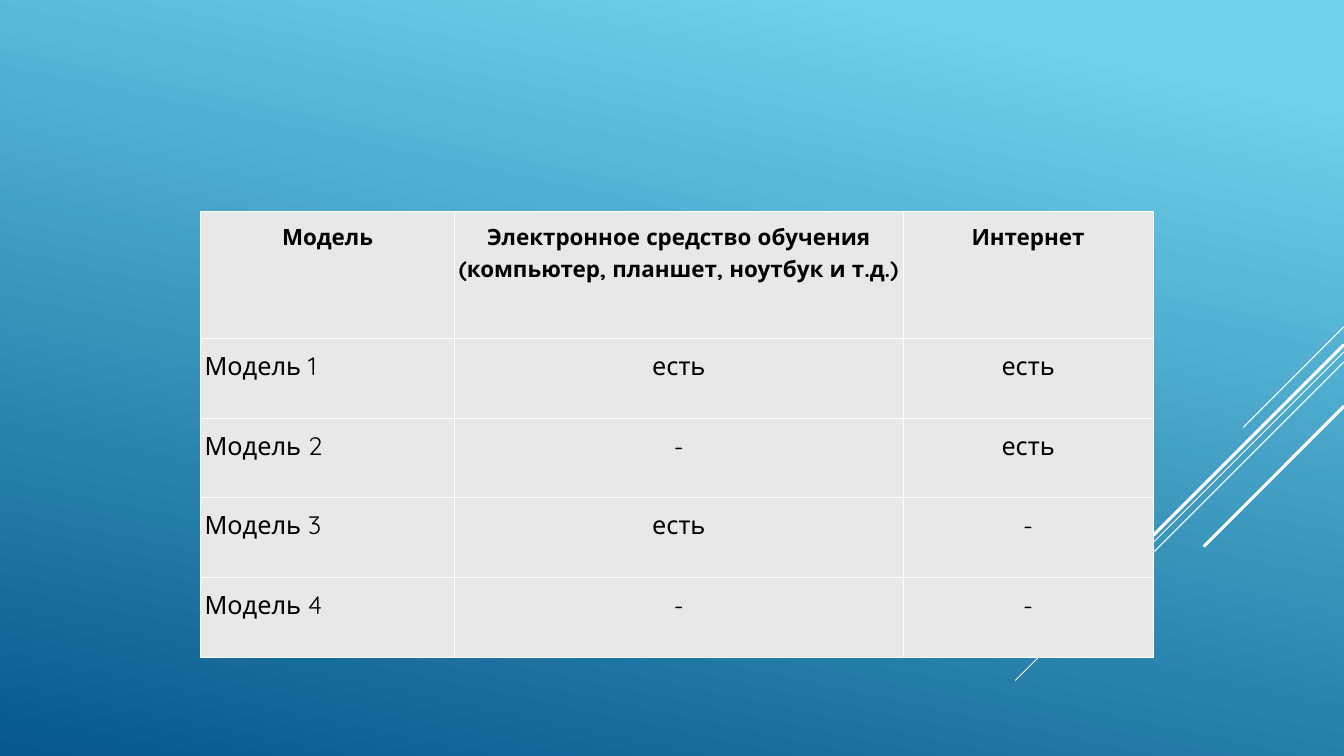
from dataclasses import dataclass

from lxml import etree
from pptx import Presentation
from pptx import util as u
from pptx.dml.color import RGBColor
from pptx.enum import shapes, text
from pptx.oxml import ns

COLS, ROWS = 160, 90
WIDE, HIGH = u.Inches(13.33), u.Inches(7.5)
WHITE, BLACK, GREY = "FFFFFF", "000000", "E7E8EA"
FONT = "Quicksand"


@dataclass(frozen=True)
class Ray:
    """A diagonal from the right edge down to the left, in grid units."""
    top: float
    run: float
    width: float


RAYS = [
    Ray(38.88, 12, 0.75),
    Ray(41.88, 39.12, 0.75),
    Ray(43.08, 24.9, 0.75),
    Ray(41.04, 22.9, 2.25),
    Ray(48.36, 16.7, 2.25),
]
SPANS = [30.24, 53.4, 29.76]
HEAD, LINE = 15.12, 9.48
MODELS = [
    ["Модель", "Электронное средство обучения (компьютер, планшет, ноутбук и т.д.)", "Интернет"],
    ["Модель 1", "есть", "есть"],
    ["Модель 2", "-", "есть"],
    ["Модель 3", "есть", "-"],
    ["Модель 4", "-", "-"],
]


def col(n: float) -> int:
    """Turn grid columns into a length."""
    return round(WIDE * n / COLS)


def row(n: float) -> int:
    """Turn grid rows into a length."""
    return round(HIGH * n / ROWS)


def hue(code: str) -> RGBColor:
    """Turn a hex string into a colour."""
    return RGBColor.from_string(code)


def paint(slide) -> None:
    """Fill the background with the blue gradient."""
    fill = slide.background.fill
    fill.gradient()
    fill.gradient_angle = 258
    for stop, (place, code) in zip(fill.gradient_stops, [(0.1, "6ED2EB"), (1, "06588E")]):
        stop.position = place
        stop.color.rgb = hue(code)


def draw_ray(slide, ray: Ray) -> None:
    """Draw one white diagonal."""
    line = slide.shapes.add_connector(
        shapes.MSO_CONNECTOR.STRAIGHT,
        col(COLS), row(ray.top), col(COLS - ray.run), row(ray.top + ray.run))
    line.line.color.rgb = hue(WHITE)
    line.line.width = u.Pt(ray.width)
    etree.SubElement(line._element.spPr, ns.qn("a:effectLst"))


def edge(cell) -> None:
    """Put a thin white border on all sides of a cell."""
    props = cell._tc.get_or_add_tcPr()
    for spot, side in enumerate(["lnL", "lnR", "lnT", "lnB"]):
        line = etree.Element(ns.qn(f"a:{side}"), w=str(u.Pt(1)))
        fill = etree.SubElement(line, ns.qn("a:solidFill"))
        etree.SubElement(fill, ns.qn("a:srgbClr"), val=WHITE)
        props.insert(spot, line)


def fill_cell(cell, words: str, head: bool, left: bool) -> None:
    """Write and format one cell."""
    cell.text = words
    cell.margin_left = cell.margin_right = u.Inches(0.04)
    cell.margin_top = cell.margin_bottom = u.Inches(0.07)
    cell.fill.solid()
    cell.fill.fore_color.rgb = hue(GREY)
    edge(cell)
    para = cell.text_frame.paragraphs[0]
    para.alignment = text.PP_ALIGN.LEFT if left else text.PP_ALIGN.CENTER
    para.line_spacing = 1.15
    para.font.name = FONT
    para.font.size = u.Pt(16 if head else 18)
    para.font.bold = head
    para.font.color.rgb = hue(BLACK)


def draw_table(slide) -> None:
    """Draw the table of learning models."""
    tall = [HEAD] + [LINE] * (len(MODELS) - 1)
    table = slide.shapes.add_table(
        len(tall), len(SPANS), col(23.88), row(25.2), col(sum(SPANS)), row(sum(tall))).table
    table.first_row = table.horz_banding = False
    for part, span in zip(table.columns, SPANS):
        part.width = col(span)
    for r, (part, size) in enumerate(zip(table.rows, tall)):
        part.height = row(size)
        for c, words in enumerate(MODELS[r]):
            fill_cell(table.cell(r, c), words, r == 0, r > 0 and c == 0)


def main() -> None:
    """Build and save the slide."""
    deck = Presentation()
    deck.slide_width, deck.slide_height = WIDE, HIGH
    slide = deck.slides.add_slide(deck.slide_layouts[6])
    paint(slide)
    for ray in RAYS:
        draw_ray(slide, ray)
    draw_table(slide)
    deck.save("out.pptx")


if __name__ == "__main__":
    main()
